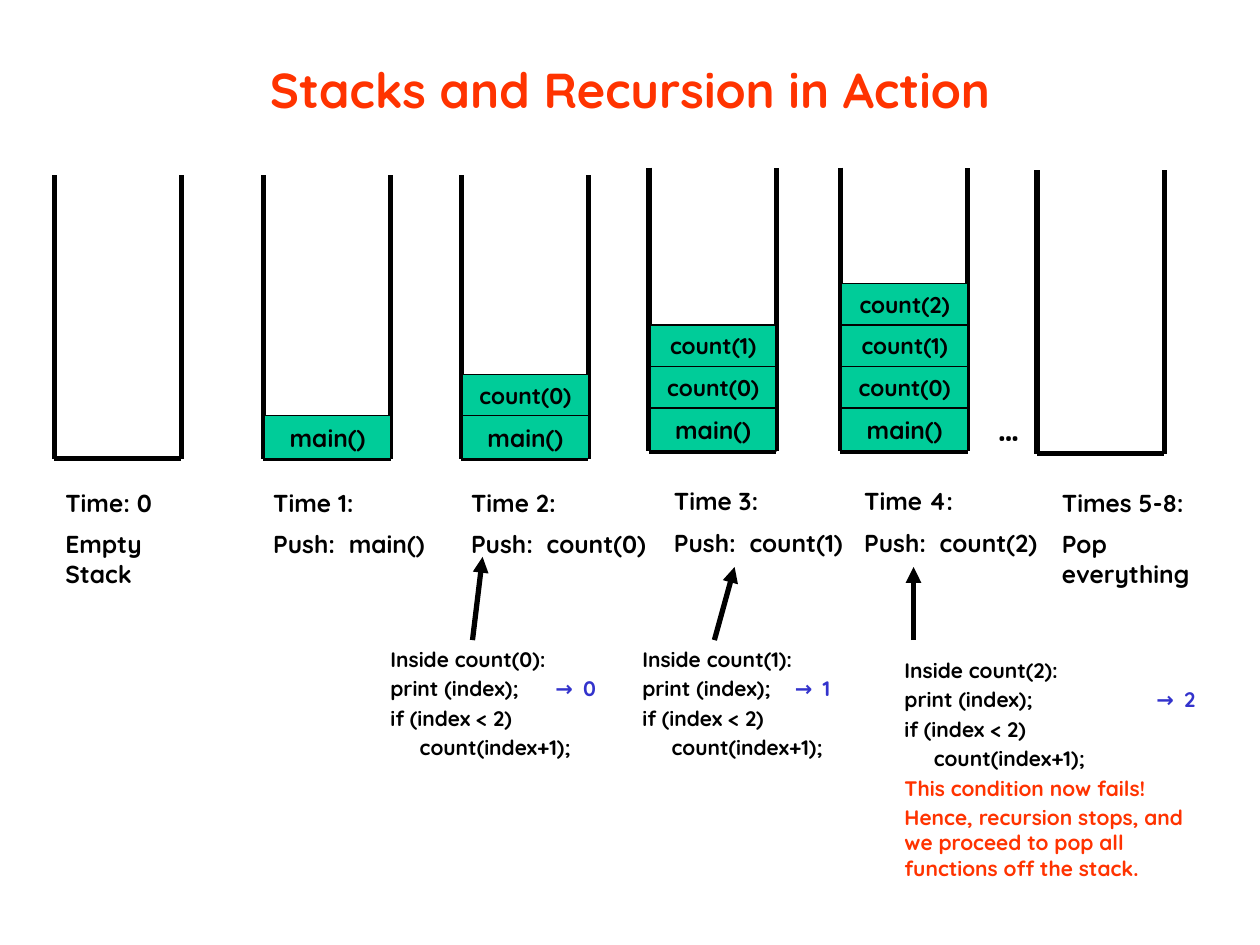
from lxml.etree import SubElement
from pptx import Presentation
from pptx.dml.color import RGBColor
from pptx.enum.shapes import MSO_CONNECTOR, MSO_SHAPE
from pptx.enum.text import MSO_ANCHOR, PP_ALIGN
from pptx.oxml.ns import qn
from pptx.util import Inches, Pt

BLACK = RGBColor(0x00, 0x00, 0x00)
RED = RGBColor(0xFF, 0x33, 0x00)
BLUE = RGBColor(0x33, 0x33, 0xCC)
GREEN = RGBColor(0x00, 0xCC, 0x99)
FONT = "Quicksand"

presentation = Presentation()
presentation.slide_width = Inches(10)
presentation.slide_height = Inches(7.5)
COLUMN = presentation.slide_width / 10
ROW = presentation.slide_height / 7.5
slide = presentation.slides.add_slide(presentation.slide_layouts[5])


def grid(*lengths):
    return [round(length * (ROW if index % 2 else COLUMN)) for index, length in enumerate(lengths)]


def write(text_frame, lines, size, gap=0, tabs=()):
    text_frame.word_wrap = True
    for index, (text, color) in enumerate(lines):
        paragraph = text_frame.paragraphs[0] if index == 0 else text_frame.add_paragraph()
        code, tab, result = text.partition("\t→")
        paragraph.add_run().text = code
        if tab:
            run = paragraph.add_run()
            run.text = tab + result
            run.font.color.rgb = BLUE
        if "\t" in text:
            tab_list = SubElement(paragraph._p.get_or_add_pPr(), qn("a:tabLst"))
            for stop in tabs:
                SubElement(tab_list, qn("a:tab"), pos=str(round(stop * COLUMN)), algn="l")
        paragraph.space_before = Pt(gap if index else 0)
        paragraph.font.name = FONT
        paragraph.font.size = Pt(size)
        paragraph.font.bold = True
        paragraph.font.color.rgb = color


title = slide.shapes.title
title.left, title.top, title.width, title.height = grid(0.75, 0.08, 8.5, 1.25)
title.text_frame.vertical_anchor = MSO_ANCHOR.MIDDLE
write(title.text_frame, [("Stacks and Recursion in Action", RED)], 28)
title.text_frame.paragraphs[0].alignment = PP_ALIGN.CENTER

STACK_WIDTH, STACK_HEIGHT = 1.01, 2.25
MAIN_HEIGHT, CALL_HEIGHT = 0.34, 0.33
CALLS = ["main()", "count(0)", "count(1)", "count(2)"]
stacks = [
    (0.43, 1.39, 0, (0.42, 3.82, 1.36), "Time: 0", "Empty Stack"),
    (2.09, 1.39, 1, (2.07, 3.82, 1.43), "Time 1:", "Push:\tmain()"),
    (3.66, 1.39, 2, (3.64, 3.82, 1.61), "Time 2:", "Push:\tcount(0)"),
    (5.15, 1.33, 3, (5.25, 3.81, 1.61), "Time 3:", "Push:\tcount(1)"),
    (6.67, 1.33, 4, (6.76, 3.81, 1.61), "Time 4:", "Push:\tcount(2)"),
    (8.23, 1.35, 0, (8.33, 3.82, 1.6), "Times 5-8:", "Pop everything"),
]
lines = []
blocks = []
for left, top, depth, label, time, action in stacks:
    right, bottom = left + STACK_WIDTH, top + STACK_HEIGHT
    lines += [
        (left, top, left, bottom, False),
        (left, bottom, right, bottom, False),
        (right, bottom, right, top, False),
    ]
    for level, call in enumerate(CALLS[:depth]):
        height = CALL_HEIGHT if level else MAIN_HEIGHT
        blocks.append((call, left + 0.01, bottom - MAIN_HEIGHT - level * CALL_HEIGHT, height))
    text_box = slide.shapes.add_textbox(*grid(*label, 0.68))
    write(text_box.text_frame, [(time, BLACK), (action, BLACK)], 14, 7, [0.6])

lines += [
    (3.75, 5.08, 3.83, 4.42, True),
    (5.67, 5.08, 5.83, 4.5, True),
    (7.25, 5.08, 7.25, 4.5, True),
]
for *ends, has_arrow in lines:
    connector = slide.shapes.add_connector(MSO_CONNECTOR.STRAIGHT, *grid(*ends))
    connector.line.color.rgb = BLACK
    connector.line.width = Pt(3)
    if has_arrow:
        SubElement(connector.line._get_or_add_ln(), qn("a:tailEnd"), type="triangle")
    SubElement(connector._element.spPr, qn("a:effectLst"))

for call, left, top, height in blocks:
    block = slide.shapes.add_shape(MSO_SHAPE.RECTANGLE, *grid(left, top, 1, height))
    block.shadow.inherit = False
    block.fill.solid()
    block.fill.fore_color.rgb = GREEN
    block.line.color.rgb = BLACK
    block.line.width = Pt(0.75)
    block.text_frame.vertical_anchor = MSO_ANCHOR.MIDDLE
    write(block.text_frame, [(call, BLACK)], 14 if call == "main()" else 13)
    block.text_frame.paragraphs[0].alignment = PP_ALIGN.CENTER

ellipsis = slide.shapes.add_textbox(*grid(7.82, 3.18, 0.48, 0.43))
write(ellipsis.text_frame, [("…", BLACK)], 20)

failure = [
    ("This condition now fails!", RED),
    ("Hence, recursion stops, and we proceed to pop all functions off the stack.", RED),
]
listings = [
    ((3, 5.08, 1.92, 1.22), 1.31, []),
    ((5, 5.08, 2, 1.22), 1.21, []),
    ((7.08, 5.17, 2.58, 1.9), 2, failure),
]
for number, (area, arrow_stop, remarks) in enumerate(listings):
    code = [
        (f"Inside count({number}):", BLACK),
        (f"print (index);\t→\t{number}", BLACK),
        ("if (index < 2)", BLACK),
        ("     count(index+1);", BLACK),
    ]
    text_box = slide.shapes.add_textbox(*grid(*area))
    write(text_box.text_frame, code + remarks, 12, 2.4, [arrow_stop, arrow_stop + 0.22])

presentation.save("out.pptx")
